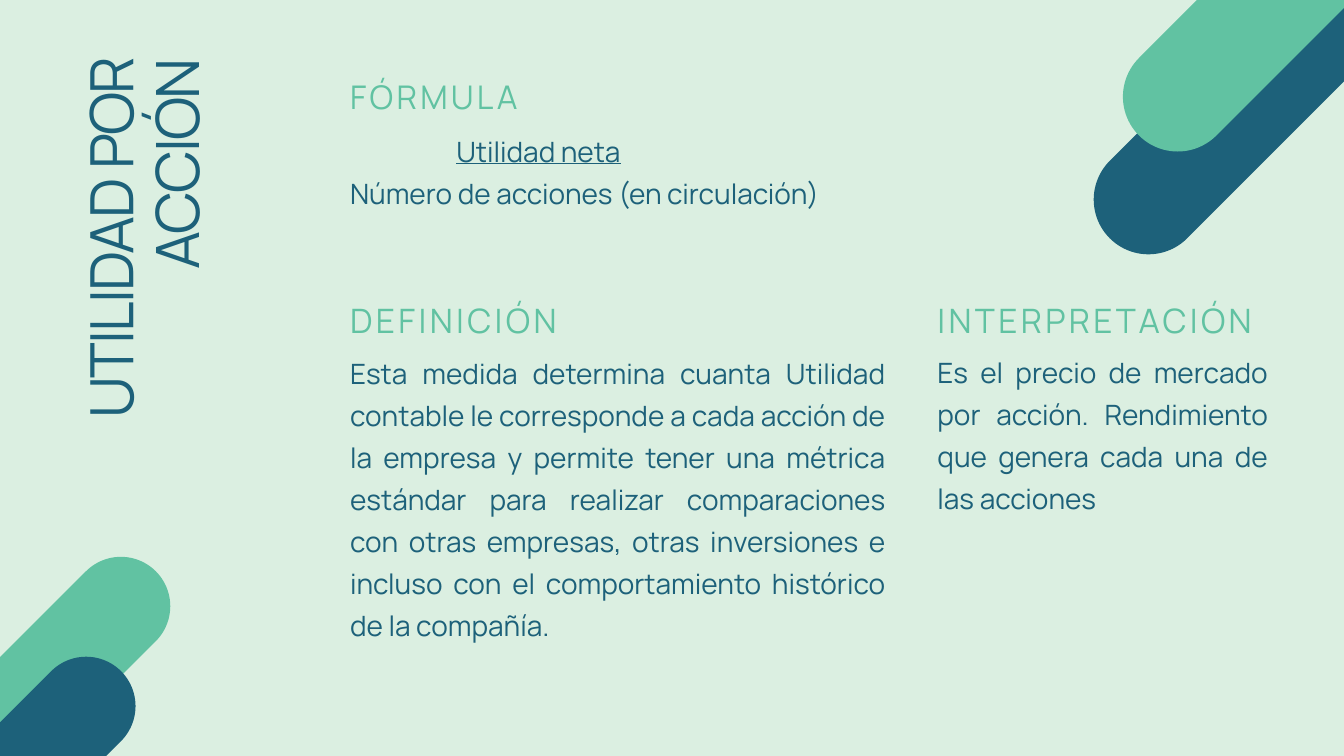
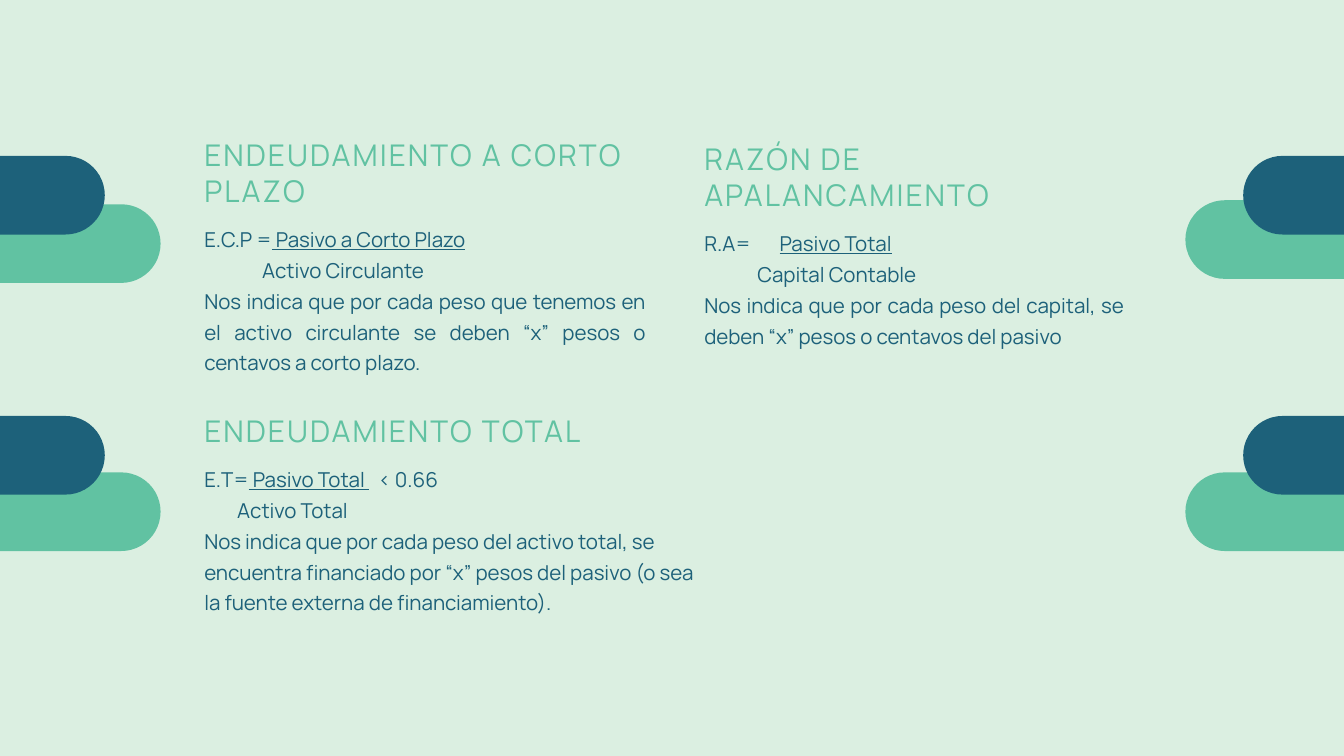
from dataclasses import dataclass

from lxml import etree
from pptx import Presentation
from pptx.dml.color import RGBColor
from pptx.enum.shapes import MSO_SHAPE
from pptx.enum.text import MSO_AUTO_SIZE, PP_ALIGN
from pptx.oxml.ns import qn
from pptx.util import Inches, Pt

PILL = MSO_SHAPE.ROUNDED_RECTANGLE
GROW = MSO_AUTO_SIZE.SHAPE_TO_FIT_TEXT
LEFT, RIGHT, JUSTIFY = PP_ALIGN.LEFT, PP_ALIGN.RIGHT, PP_ALIGN.JUSTIFY

MINT, GREEN, NAVY = "DBEFE1", "61C2A2", "1D617A"
FONT = "Manrope"


@dataclass
class Style:
    size: float
    line: float
    color: str
    spacing: float = 0


@dataclass
class Line:
    """One paragraph: (text, underlined) runs, with indent and tab stops in inches."""
    runs: list
    indent: float = 0
    tabs: tuple = ()


TITLE = Style(64, 70.4, NAVY, -1.9)
LARGE_HEADING = Style(36, 46.8, GREEN, 3.6)
FORMULA_HEADING = Style(34.9, 45.4, GREEN, 3.5)
LARGE_BODY = Style(30, 45, NAVY)
HEADING = Style(32, 38.4, GREEN, 2.2)
BODY = Style(22, 33, NAVY)


def rgb(color):
    return RGBColor.from_string(color)


def plain(text, indent=0):
    return Line([(text, False)], indent)


def add_slide(presentation):
    slide = presentation.slides.add_slide(presentation.slide_layouts[6])
    slide.background.fill.solid()
    slide.background.fill.fore_color.rgb = rgb(MINT)
    return slide


def add_pill(slide, left, top, width, height, color, rotation=0):
    shape = slide.shapes.add_shape(
        PILL, Inches(left), Inches(top), Inches(width), Inches(height))
    shape.adjustments[0] = 0.5
    shape.rotation = rotation
    shape.shadow.inherit = False
    shape.fill.solid()
    shape.fill.fore_color.rgb = rgb(color)
    shape.line.fill.background()


def set_indent_and_tabs(paragraph, line):
    properties = paragraph._p.get_or_add_pPr()
    if line.indent:
        properties.set("marL", str(Inches(line.indent)))
        properties.set("indent", "0")
    if line.tabs:
        tab_list = etree.SubElement(properties, qn("a:tabLst"))
        for position in line.tabs:
            etree.SubElement(tab_list, qn("a:tab"),
                             pos=str(Inches(position)), algn="l")


def add_text(slide, left, top, width, height, lines, style, align=LEFT, rotation=0):
    box = slide.shapes.add_textbox(
        Inches(left), Inches(top), Inches(width), Inches(height))
    box.rotation = rotation
    frame = box.text_frame
    frame.word_wrap = True
    frame.auto_size = GROW
    frame.margin_left = frame.margin_right = 0
    frame.margin_top = frame.margin_bottom = 0
    for index, line in enumerate(lines):
        paragraph = frame.add_paragraph() if index else frame.paragraphs[0]
        paragraph.alignment = align
        paragraph.line_spacing = Pt(style.line)
        set_indent_and_tabs(paragraph, line)
        for text, underlined in line.runs:
            run = paragraph.add_run()
            run.text = text
            run.font.name = FONT
            run.font.size = Pt(style.size)
            run.font.color.rgb = rgb(style.color)
            run.font.underline = underlined
            if style.spacing:
                run.font._element.set("spc", str(round(style.spacing * 100)))


def add_earnings_slide(presentation):
    slide = add_slide(presentation)
    add_text(slide, -1.21, 3.26, 6.77, 1.98, [plain("UTILIDAD POR ACCIÓN")],
             TITLE, RIGHT, 270)

    for left, top, width, height, color in (
            (-1.77, 9.46, 4.79, 1.47, GREEN), (-2.15, 10.89, 4.63, 1.47, NAVY),
            (15.76, 0.91, 5.15, 1.63, NAVY), (16.17, -0.68, 5.32, 1.63, GREEN)):
        add_pill(slide, left, top, width, height, color, 315)

    add_text(slide, 5.21, 1.09, 8.75, 0.61, [plain("FÓRMULA")], FORMULA_HEADING)
    add_text(slide, 5.21, 1.87, 8.75, 1.2, [
        Line([("\tUtilidad neta\t", True)], tabs=(1.58, 6.11)),
        plain("Número de acciones (en circulación)"),
    ], LARGE_BODY)

    definition = (
        "Esta medida determina cuanta Utilidad contable le corresponde a cada "
        "acción de la empresa y permite tener una métrica estándar para realizar "
        "comparaciones con otras empresas, otras inversiones e incluso con el "
        "comportamiento histórico de la compañía.")
    interpretation = (
        "Es el precio de mercado por acción. Rendimiento que genera cada una de "
        "las acciones")
    for left, top, width, height, heading, body in (
            (5.21, 4.42, 7.97, 4.95, "DEFINICIÓN", definition),
            (13.95, 4.41, 4.92, 3.08, "INTERPRETACIÓN", interpretation)):
        add_text(slide, left, top, width, 0.62, [plain(heading)],
                 LARGE_HEADING, JUSTIFY)
        add_text(slide, left, top + 0.76, width, height, [plain(body)],
                 LARGE_BODY, JUSTIFY)


def add_ratio(slide, left, top, width, heading, heading_height, lines, align):
    """Place a heading with its ratio and explanation just below it."""
    add_text(slide, left, top, width, heading_height, [plain(heading)], HEADING)
    add_text(slide, left, top + heading_height + 0.18, width, 2.25, lines, BODY, align)


def add_debt_slide(presentation):
    slide = add_slide(presentation)
    for green_left, navy_left, upper_green_top in (
            (-0.64, -1.47, 3.04), (17.64, 18.5, 2.98)):
        for green_top, navy_top in ((upper_green_top, 2.32), (7.03, 6.19)):
            add_pill(slide, green_left, green_top, 3.03, 1.17, GREEN)
            add_pill(slide, navy_left, navy_top, 3.03, 1.17, NAVY)

    add_ratio(slide, 3.04, 2.04, 6.57, "ENDEUDAMIENTO A CORTO PLAZO", 1.07, [
        Line([("E.C.P =", False), (" Pasivo a Corto Plazo", True)]),
        plain("Activo Circulante", 0.86),
        plain("Nos indica que por cada peso que tenemos en el activo circulante "
              "se deben “x” pesos o centavos a corto plazo."),
    ], JUSTIFY)
    add_ratio(slide, 10.48, 2.1, 6.25, "RAZÓN DE APALANCAMIENTO", 1.07, [
        Line([("R.A=\t", False), ("\tPasivo Total\t", True)],
             tabs=(0.82, 1.12, 3.39)),
        plain("Capital Contable", 0.79),
        plain("Nos indica que por cada peso del capital, se deben “x” pesos o "
              "centavos del pasivo"),
    ], JUSTIFY)
    add_ratio(slide, 3.04, 6.14, 7.44, "ENDEUDAMIENTO TOTAL", 0.54, [
        Line([("E.T=", False), (" Pasivo Total ", True), ("\t< 0.66", False)],
             tabs=(2.59,)),
        plain("Activo Total", 0.49),
        plain("Nos indica que por cada peso del activo total, se encuentra "
              "financiado por “x” pesos del pasivo (o sea la fuente externa de "
              "financiamiento)."),
    ], LEFT)


def main():
    presentation = Presentation()
    presentation.slide_width = Inches(20)
    presentation.slide_height = Inches(11.25)
    add_earnings_slide(presentation)
    add_debt_slide(presentation)
    presentation.save("out.pptx")


if __name__ == "__main__":
    main()
